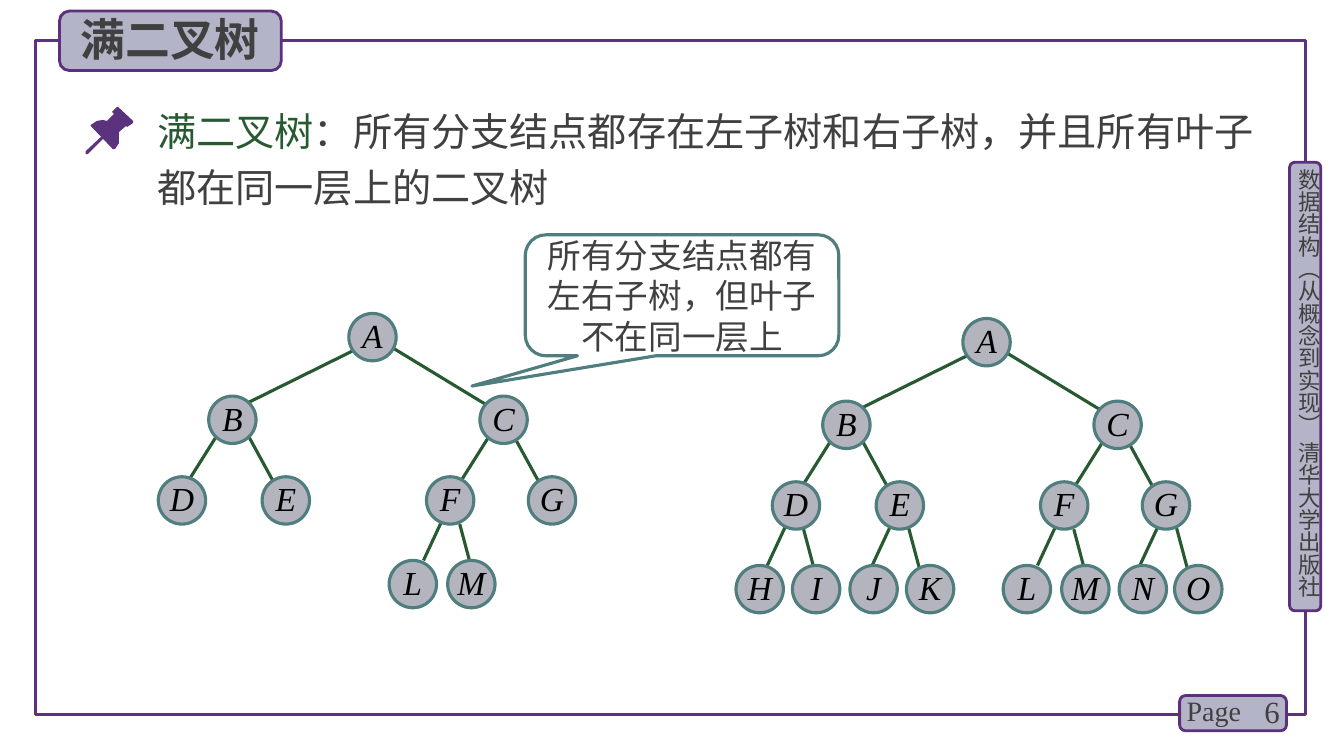
from lxml import etree
from pptx import Presentation
from pptx.dml.color import RGBColor
from pptx.enum.shapes import MSO_CONNECTOR, MSO_SHAPE
from pptx.enum.text import MSO_ANCHOR, MSO_AUTO_SIZE, PP_ALIGN
from pptx.oxml.ns import qn
from pptx.util import Pt

PX = 9144  # EMU per px, 100 px to the inch
RECTANGLE, ROUNDED = MSO_SHAPE.RECTANGLE, MSO_SHAPE.ROUNDED_RECTANGLE
OVAL, CALLOUT = MSO_SHAPE.OVAL, MSO_SHAPE.ROUNDED_RECTANGULAR_CALLOUT
STRAIGHT = MSO_CONNECTOR.STRAIGHT
TOP, MIDDLE = MSO_ANCHOR.TOP, MSO_ANCHOR.MIDDLE
LEFT, CENTER, RIGHT = PP_ALIGN.LEFT, PP_ALIGN.CENTER, PP_ALIGN.RIGHT
GROW = MSO_AUTO_SIZE.SHAPE_TO_FIT_TEXT

COLORS = {
    "frame": "5A327D", "tab_line": "5C307D", "tab": "B4B4C8",
    "text": "404040", "term": "285A32", "edge": "285A32",
    "node": "B4B4BE", "node_line": "507D7D", "letter": "000000",
}
HAN, ROMAN = "Noto Sans CJK SC", "Times New Roman"

# Node: left, top within the tree, then where the edge from its parent starts
NODES = {
    "A": (225, 0, None),
    "B": (86, 82, (229, 37)), "C": (355, 82, (265, 32)),
    "D": (36, 162, (98, 115)), "E": (139, 162, (124, 119)),
    "F": (302, 162, (364, 122)), "G": (403, 162, (391, 126)),
    "H": (0, 245, (51, 202)), "I": (56, 245, (67, 209)),
    "J": (113, 245, (155, 202)), "K": (169, 245, (171, 207)),
    "L": (265, 245, (319, 202)), "M": (323, 245, (335, 209)),
    "N": (380, 245, (421, 201)), "O": (435, 245, (437, 208)),
}
# Run of the left and the right edge that end on each level
EDGE_RUNS = {
    82: ((-109, 54), (102, 62)),
    162: ((-34, 54), (29, 53)),
    245: ((-20, 43), (12, 45)),
}
NODE_SIZE = 47

PIN_HEAD = [(47, 14), (32, 0), (31, 0), (26, 5), (28, 7), (21, 14), (17, 13),
            (11, 14), (5, 18), (5, 19), (27, 42), (29, 42), (33, 36), (33, 25),
            (40, 19), (41, 20), (47, 16)]
PIN_NEEDLE = [(0, 47), (0, 44), (16, 29), (18, 29), (18, 31), (2, 47)]


def emu(*lengths):
    return [length * PX for length in lengths]


def rgb(name):
    return RGBColor.from_string(COLORS[name])


def paint(shape, fill, line, width=2.25):
    shape.shadow.inherit = False
    if fill:
        shape.fill.solid()
        shape.fill.fore_color.rgb = rgb(fill)
    else:
        shape.fill.background()
    if line:
        shape.line.color.rgb = rgb(line)
        shape.line.width = Pt(width)
    else:
        shape.line.fill.background()


def write(shape, spans, size, font=HAN, align=LEFT, spacing=None, inset=None,
          frame_format=None, **font_format):
    """Fill a shape with one paragraph of (text, colour) spans."""
    frame = shape.text_frame
    for name, value in {"word_wrap": True, "vertical_anchor": TOP,
                        **(frame_format or {})}.items():
        setattr(frame, name, value)
    if inset:
        sides = ("margin_left", "margin_top", "margin_right", "margin_bottom")
        for side, length in zip(sides, emu(*inset)):
            setattr(frame, side, length)
    para = frame.paragraphs[0]
    para.alignment = align
    if spacing:
        para.line_spacing = Pt(spacing)
    for text, color in spans:
        span = para.add_run()
        span.text = text
        span.font.color.rgb = rgb(color)
        for name, value in {"size": Pt(size), "name": font, **font_format}.items():
            setattr(span.font, name, value)
        east_asian = etree.SubElement(span.font._element, qn("a:ea"))
        east_asian.set("typeface", HAN)


def add_text(shapes, box, spans, size, **options):
    shape = shapes.add_textbox(*emu(*box))
    write(shape, spans, size, **options)
    return shape


def add_tab(shapes, box):
    paint(shapes.add_shape(ROUNDED, *emu(*box)), "tab", "tab_line", 2)


def draw_frame(shapes, box):
    left, top, width, height = box
    right, bottom = left + width, top + height
    paint(shapes.add_shape(RECTANGLE, *emu(*box)), None, "frame")

    # Book title on the right side
    add_tab(shapes, (right - 16, top + 121, 31, 445))
    book = add_text(shapes, (right - 10, top + 127, 27, 449),
                    [("数据结构（从概念到实现） 清华大学出版社", "text")], 16,
                    inset=(0, 0, 0, 0), frame_format={"auto_size": GROW})
    book.text_frame._txBody.bodyPr.set("vert", "eaVert")

    # Page number
    add_tab(shapes, (right - 125, bottom - 19, 106, 35))
    add_text(shapes, (right - 75, bottom - 23, 59, 40), [("6", "text")], 22,
             font=ROMAN, align=RIGHT, frame_format={"vertical_anchor": MIDDLE})
    add_text(shapes, (right - 128, bottom - 26, 78, 44), [("Page", "text")], 20,
             font=ROMAN, frame_format={"auto_size": GROW})


def draw_title(shapes, box):
    left, top, _, _ = box
    add_tab(shapes, box)
    add_text(shapes, (left + 11, top - 4, 250, 64), [("满二叉树", "text")], 32,
             bold=True, frame_format={"auto_size": GROW})


def draw_definition(shapes, box):
    left, top, width, height = box
    spans = [("满二叉树", "term"),
             ("：所有分支结点都存在左子树和右子树，并且所有叶子都在同一层上的二叉树", "text")]
    add_text(shapes, (left + 71, top, width - 71, height), spans, 28, font=ROMAN,
             spacing=40, inset=(0, 5, 0, 5), frame_format={"auto_size": GROW})
    for outline in (PIN_HEAD, PIN_NEEDLE):
        builder = shapes.build_freeform(*outline[0], scale=PX)
        builder.add_line_segments(outline[1:], close=True)
        paint(builder.convert_to_shape(*emu(left, top + 13)), "frame", None)


def draw_tree(shapes, left, top, letters):
    tree = shapes.add_group_shape().shapes
    for letter in letters:
        _, level, start = NODES[letter]
        if start:
            is_right = list(NODES).index(letter) % 2 == 0
            run_x, run_y = EDGE_RUNS[level][is_right]
            x, y = left + start[0], top + start[1]
            edge = tree.add_connector(STRAIGHT, *emu(x, y, x + run_x, y + run_y))
            edge.line.color.rgb = rgb("edge")
            edge.line.width = Pt(2.25)
            etree.SubElement(edge._element.spPr, qn("a:effectLst"))
    for letter in letters:
        x, y, _ = NODES[letter]
        node = tree.add_shape(OVAL, *emu(left + x, top + y, NODE_SIZE, NODE_SIZE))
        paint(node, "node", "node_line")
        write(node, [(letter, "letter")], 24, font=ROMAN, align=CENTER,
              spacing=25, inset=(0, 0, 0, 0), italic=True)


def draw_callout(shapes, box):
    callout = shapes.add_shape(CALLOUT, *emu(*box))
    for index, value in enumerate((-0.67, 0.75, 0.17)):
        callout.adjustments[index] = value
    paint(callout, None, "node_line")
    write(callout, [("所有分支结点都有左右子树，但叶子不在同一层上", "text")], 24,
          align=CENTER, frame_format={"vertical_anchor": MIDDLE})


def main():
    deck = Presentation()
    deck.slide_width, deck.slide_height = emu(1333, 750)
    page = deck.slides.add_slide(deck.slide_layouts[6])
    shapes = page.shapes
    draw_frame(shapes, (35, 40, 1260, 669))
    draw_title(shapes, (59, 11, 220, 59))
    draw_definition(shapes, (85, 93, 1182, 122))
    draw_tree(shapes, 730, 316, "ABCDEFGHIJKLMNO")
    draw_tree(shapes, 121, 311, "ABCDEFGLM")
    draw_callout(shapes, (521, 233, 311, 120))
    deck.save("out.pptx")


if __name__ == "__main__":
    main()
